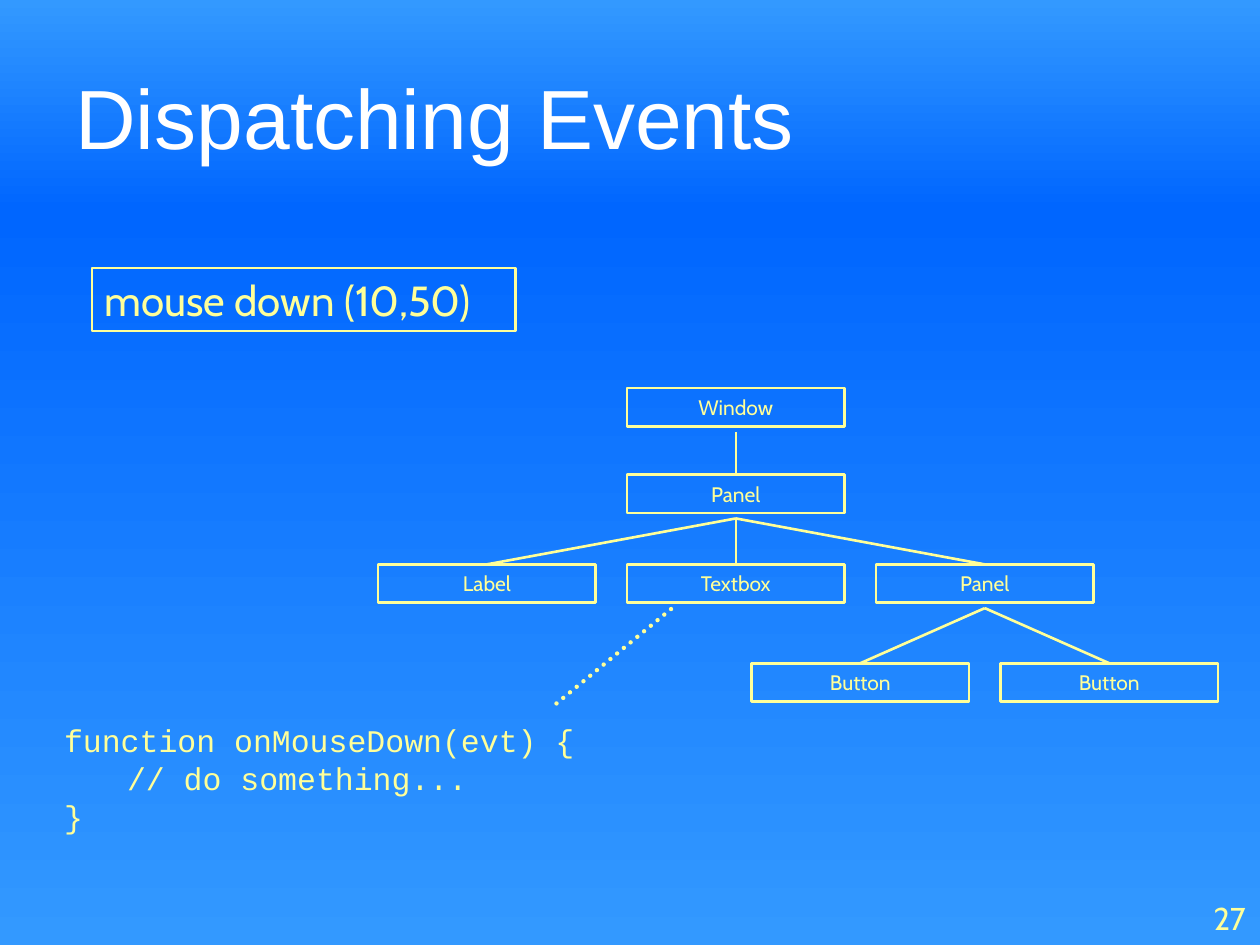
from dataclasses import dataclass

from lxml import etree
from pptx import Presentation
from pptx.dml.color import RGBColor
from pptx.enum.dml import MSO_LINE
from pptx.enum.shapes import MSO_CONNECTOR, MSO_SHAPE
from pptx.enum.text import MSO_ANCHOR, PP_ALIGN
from pptx.oxml.ns import qn
from pptx.util import Pt

RECTANGLE = MSO_SHAPE.RECTANGLE
STRAIGHT = MSO_CONNECTOR.STRAIGHT
ROUND_DOT = MSO_LINE.ROUND_DOT
LEFT, CENTER, RIGHT = PP_ALIGN.LEFT, PP_ALIGN.CENTER, PP_ALIGN.RIGHT
TOP, MIDDLE = MSO_ANCHOR.TOP, MSO_ANCHOR.MIDDLE
TOP_SIDE = 0


@dataclass(frozen=True)
class Theme:
    sky: RGBColor = RGBColor(0x33, 0x99, 0xFF)
    deep: RGBColor = RGBColor(0x00, 0x66, 0xFF)
    accent: RGBColor = RGBColor(0xFF, 0xFF, 0x99)
    white: RGBColor = RGBColor(0xFF, 0xFF, 0xFF)
    body_font: str = "Cabin"
    title_font: str = "Arial"
    code_font: str = "Courier New"
    title_size: int = 48
    event_size: int = 24
    code_size: int = 18
    number_size: int = 18
    node_size: int = 12
    line_width: float = 1.5
    dotted_width: float = 2.5


THEME = Theme()

SLIDE_WIDTH, SLIDE_HEIGHT = 720, 540
HORIZON = 120
NODE_WIDTH, NODE_HEIGHT = 124.5, 22
TREE_CENTER, COLUMN_PITCH = 420.5, 142.25
ROW_TOPS = (221.75, 271.25, 322.5, 379)
LINK_GAP = 3

NODES = {
    "window": ("Window", 0, 0, None),
    "main panel": ("Panel", 0, 1, "window"),
    "label": ("Label", -1, 2, "main panel"),
    "textbox": ("Textbox", 0, 2, "main panel"),
    "side panel": ("Panel", 1, 2, "main panel"),
    "left button": ("Button", 0.5, 3, "side panel"),
    "right button": ("Button", 1.5, 3, "side panel"),
}

CODE = "function onMouseDown(evt) {\n\t// do something...\n}"


def write_text(shape, text, size, font=THEME.body_font, color=THEME.accent,
               align=LEFT, anchor=TOP, wrap=True, tab=None):
    frame = shape.text_frame
    frame.word_wrap = wrap
    frame.vertical_anchor = anchor
    for index, line in enumerate(text.split("\n")):
        paragraph = frame.add_paragraph() if index else frame.paragraphs[0]
        paragraph.alignment = align
        if tab:
            tab_list = etree.SubElement(paragraph._p.get_or_add_pPr(), qn("a:tabLst"))
            etree.SubElement(tab_list, qn("a:tab"), pos=str(Pt(tab)), algn="l")
        run = paragraph.add_run()
        run.text = line
        run.font.name = font
        run.font.size = Pt(size)
        run.font.color.rgb = color


def add_text(slide, left, top, width, height, text, size, **text_format):
    box = slide.shapes.add_textbox(Pt(left), Pt(top), Pt(width), Pt(height))
    write_text(box, text, size, **text_format)


def add_rectangle(slide, left, top, width, height):
    shape = slide.shapes.add_shape(RECTANGLE, Pt(left), Pt(top), Pt(width), Pt(height))
    shape.shadow.inherit = False
    return shape


def add_gradient(slide, top, height, start, end):
    band = add_rectangle(slide, 0, top, SLIDE_WIDTH, height)
    band.line.fill.background()
    band.fill.gradient()
    band.fill.gradient_angle = 270
    for stop, color, position in zip(band.fill.gradient_stops, (start, end), (0, 1)):
        stop.color.rgb = color
        stop.position = position


def add_outlined_box(slide, left, top, width, height, text, size, align=LEFT):
    box = add_rectangle(slide, left, top, width, height)
    box.fill.background()
    box.line.color.rgb = THEME.accent
    box.line.width = Pt(THEME.line_width)
    write_text(box, text, size, align=align, anchor=MIDDLE)
    return box


def add_line(slide, start, end, width=THEME.line_width):
    connector = slide.shapes.add_connector(STRAIGHT, *map(Pt, start + end))
    connector.line.color.rgb = THEME.accent
    connector.line.width = Pt(width)
    etree.SubElement(connector._element.spPr, qn("a:effectLst"))
    return connector


def add_dotted_line(slide, start, end):
    connector = add_line(slide, start, end, THEME.dotted_width)
    connector.line.dash_style = ROUND_DOT
    connector.line._get_or_add_ln().set("cap", "rnd")


def add_widget_tree(slide):
    centers = {}
    for name, (text, column, row, parent) in NODES.items():
        center, top = TREE_CENTER + column * COLUMN_PITCH, ROW_TOPS[row]
        centers[name] = (center, top)
        node = add_outlined_box(slide, center - NODE_WIDTH / 2, top, NODE_WIDTH,
                                NODE_HEIGHT, text, THEME.node_size, CENTER)
        if parent:
            parent_center, parent_top = centers[parent]
            start = (parent_center, parent_top + NODE_HEIGHT + LINK_GAP)
            add_line(slide, start, (center, top)).end_connect(node, TOP_SIDE)


def main():
    presentation = Presentation()
    presentation.slide_width = Pt(SLIDE_WIDTH)
    presentation.slide_height = Pt(SLIDE_HEIGHT)
    slide = presentation.slides.add_slide(presentation.slide_layouts[6])

    add_gradient(slide, 0, HORIZON, THEME.sky, THEME.deep)
    add_gradient(slide, HORIZON, SLIDE_HEIGHT - HORIZON, THEME.deep, THEME.sky)
    add_text(slide, 671, 510, 48, 31.5, "27", THEME.number_size, align=RIGHT)
    add_text(slide, 36, 21.5, 648, 90, "Dispatching Events", THEME.title_size,
             font=THEME.title_font, color=THEME.white, anchor=MIDDLE)
    add_widget_tree(slide)
    add_outlined_box(slide, 52.5, 153.25, 242, 36, "mouse down (10,50)",
                     THEME.event_size)
    add_text(slide, 29.5, 408.5, 306, 72, CODE, THEME.code_size,
             font=THEME.code_font, wrap=False, tab=36)
    add_dotted_line(slide, (318, 402), (383.5, 348))
    presentation.save("out.pptx")


if __name__ == "__main__":
    main()
